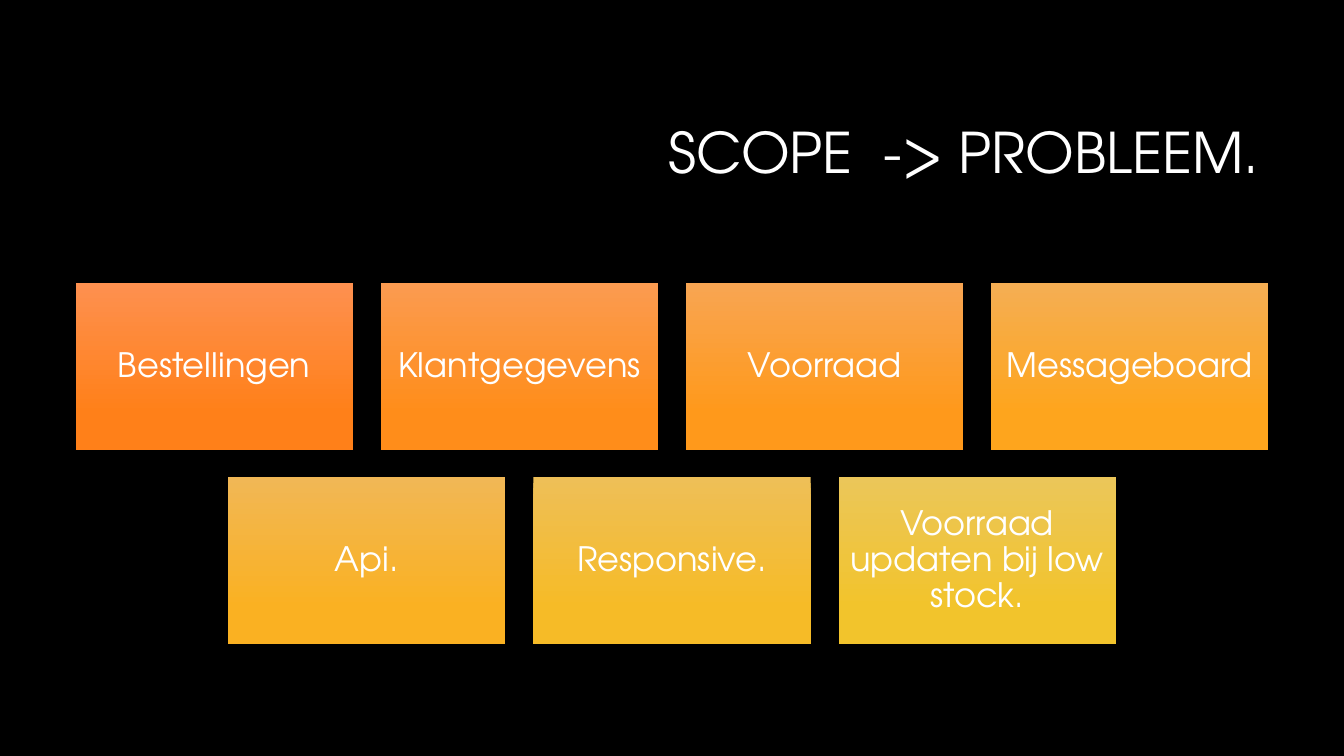
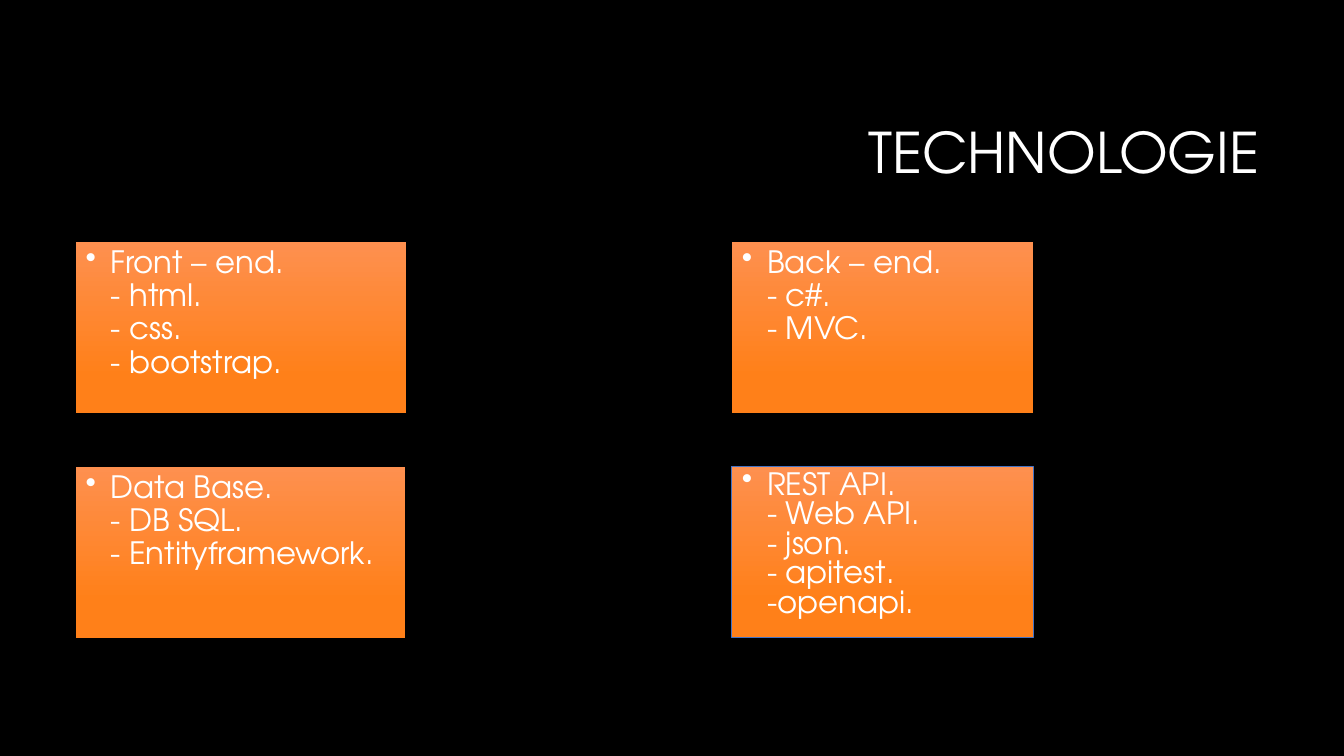
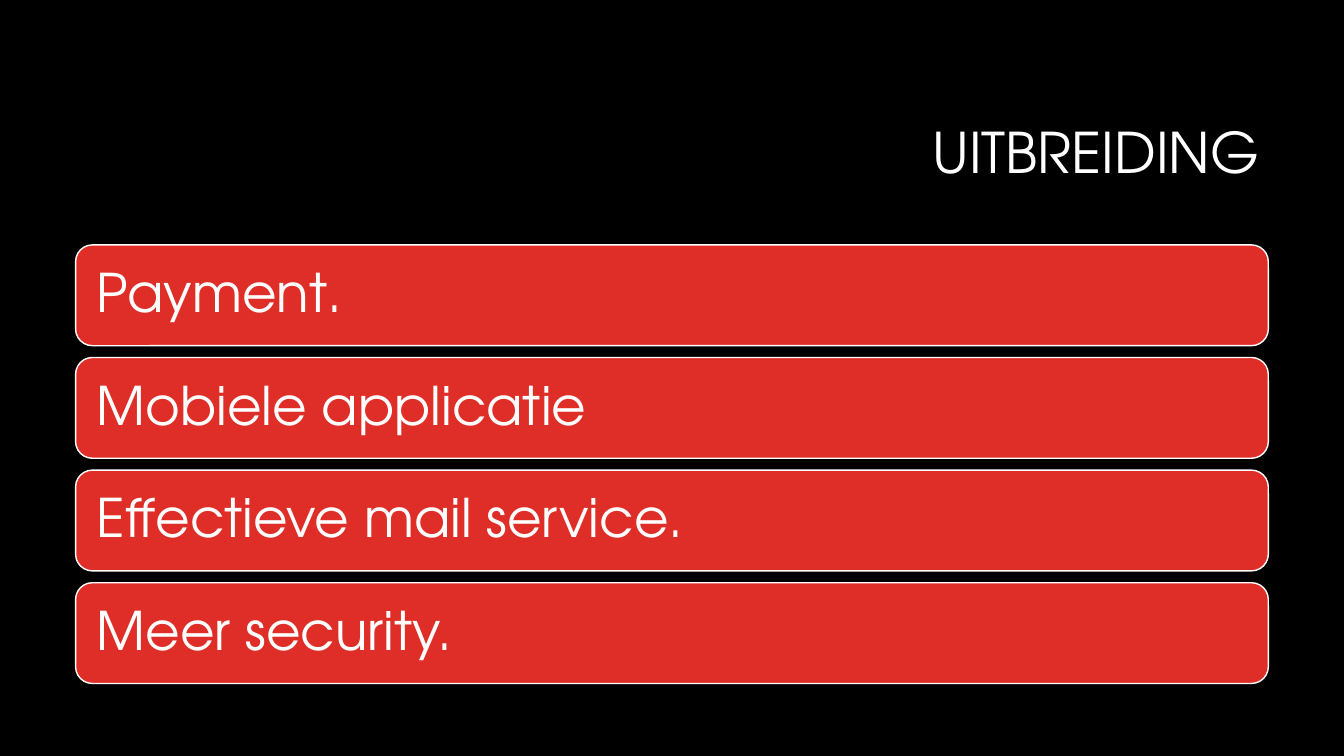
from lxml.etree import SubElement
from pptx import Presentation
from pptx.dml.color import RGBColor
from pptx.enum.shapes import MSO_SHAPE
from pptx.enum.text import MSO_ANCHOR, PP_ALIGN
from pptx.oxml.ns import qn
from pptx.util import Inches, Pt

FONT = "TeX Gyre Adventor"
BLACK = RGBColor(0x00, 0x00, 0x00)
WHITE = RGBColor(0xFF, 0xFF, 0xFF)
RED = RGBColor(0xDF, 0x2E, 0x28)
BLUE = RGBColor(0x44, 0x72, 0xC4)
# Top and bottom colours of the gradients, from orange to yellow
SHADES = [
    (RGBColor(0xFE, 0x90, 0x4F), RGBColor(0xFF, 0x80, 0x19)),
    (RGBColor(0xFB, 0x9B, 0x50), RGBColor(0xFF, 0x8D, 0x1A)),
    (RGBColor(0xF8, 0xA5, 0x52), RGBColor(0xFF, 0x99, 0x1B)),
    (RGBColor(0xF5, 0xAE, 0x53), RGBColor(0xFE, 0xA5, 0x1D)),
    (RGBColor(0xF1, 0xB7, 0x55), RGBColor(0xFA, 0xB1, 0x22)),
    (RGBColor(0xEE, 0xBF, 0x57), RGBColor(0xF6, 0xBB, 0x27)),
    (RGBColor(0xEB, 0xC6, 0x59), RGBColor(0xF2, 0xC4, 0x2C)),
]
LEFT, WIDTH = 0.75, 11.83

deck = Presentation()
deck.slide_width, deck.slide_height = Inches(13.33), Inches(7.5)
back = deck.slide_master.background.fill
back.solid()
back.fore_color.rgb = BLACK


def write(shape, text, size, align=PP_ALIGN.LEFT, space=0.9):
    frame = shape.text_frame
    frame.word_wrap = True
    frame.vertical_anchor = MSO_ANCHOR.MIDDLE
    para = frame.paragraphs[0]
    para.text = text
    para.alignment = align
    para.line_spacing = space
    para.font.name = FONT
    para.font.size = Pt(size)
    para.font.color.rgb = WHITE
    return frame


def add_box(slide, kind, left, top, width, height, shade=None):
    box = slide.shapes.add_shape(
        kind, Inches(left), Inches(top), Inches(width), Inches(height))
    box.shadow.inherit = False
    box.line.fill.background()
    if shade:
        box.fill.gradient()
        box.fill.gradient_angle = 270
        for stop, place, color in zip(box.fill.gradient_stops, (0, 0.78), shade):
            stop.position = place
            stop.color.rgb = color
    return box


# Slides and their titles
slides = []
for title in ["SCOPE  -> PROBLEEM.", "TECHNOLOGIE", "UITBREIDING"]:
    slide = deck.slides.add_slide(deck.slide_layouts[6])
    head = slide.shapes.add_textbox(
        Inches(3.17), Inches(0.84), Inches(9.42), Inches(1.41))
    write(head, title, 40, PP_ALIGN.RIGHT)
    slides.append(slide)
scope, tech, extra = slides

# Scope: a row of four tiles above a centred row of three
ROWS = [
    ["Bestellingen", "Klantgegevens", "Voorraad", "Messageboard"],
    ["Api.", "Responsive.", "Voorraad updaten bij low stock."],
]
TILE_W, TILE_H = 2.75, 1.65
gap = (WIDTH - 4 * TILE_W) / 3
shades = iter(SHADES)
for row, names in enumerate(ROWS):
    start = LEFT + (4 - len(names)) * (TILE_W + gap) / 2
    for col, name in enumerate(names):
        tile = add_box(scope, MSO_SHAPE.RECTANGLE, start + col * (TILE_W + gap),
                       2.81 + row * (TILE_H + gap), TILE_W, TILE_H, next(shades))
        write(tile, name, 24, PP_ALIGN.CENTER)

# Technology: four bulleted cards, with left, top, width and line spacing
CARDS = [
    (LEFT, 2.4, 3.28, 0.9, "Front – end.\n- html.\n- css.\n- bootstrap."),
    (7.26, 2.4, 2.99, 0.9, "Back – end.\n- c#.\n- MVC."),
    (LEFT, 4.63, 3.27, 0.9, "Data Base.\n- DB SQL.\n- Entityframework."),
    (7.26, 4.63, 2.99, 0.8, "REST API.\n- Web API.\n- json.\n- apitest.\n-openapi."),
]
for left, top, width, space, text in CARDS:
    card = add_box(tech, MSO_SHAPE.RECTANGLE, left, top, width, 1.7, SHADES[0])
    frame = write(card, text, 22, space=space)
    frame.vertical_anchor = MSO_ANCHOR.TOP
    para = frame.paragraphs[0]
    para.space_before = Pt(10)
    props = para._p.get_or_add_pPr()
    props.set("marL", str(Inches(0.25)))
    props.set("indent", str(-Inches(0.25)))
    mark = SubElement(props, qn("a:buChar"), char="•")
    props.find(qn("a:defRPr")).addprevious(mark)
# The last card has an outline
card.line.color.rgb = BLUE
card.line.width = Pt(0.75)

# Extension: a stack of rounded bars
BARS = ["Payment.", "Mobiele applicatie", "Effectieve mail service.", "Meer security."]
for row, name in enumerate(BARS):
    bar = add_box(extra, MSO_SHAPE.ROUNDED_RECTANGLE,
                  LEFT, 2.43 + row * 1.117, WIDTH, 1)
    bar.fill.solid()
    bar.fill.fore_color.rgb = RED
    bar.line.color.rgb = WHITE
    bar.line.width = Pt(1)
    frame = write(bar, name, 38)
    # The rounded corners already add 0.05 inches to the margin
    frame.margin_left = frame.margin_right = Inches(0.16)

deck.save("out.pptx")
